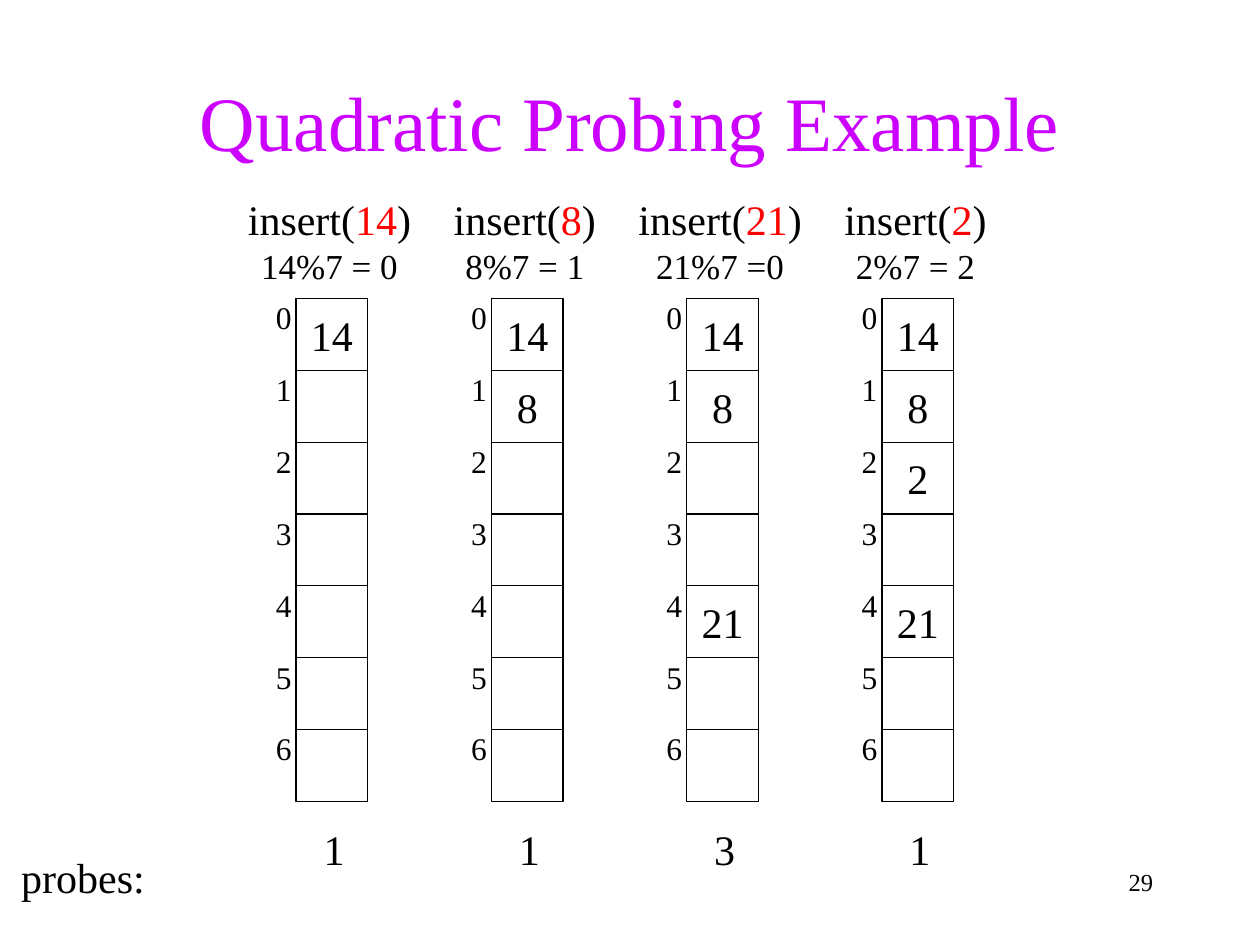
from pptx import Presentation
from pptx.dml.color import RGBColor
from pptx.enum.shapes import MSO_SHAPE
from pptx.enum.text import MSO_ANCHOR, MSO_AUTO_SIZE, PP_ALIGN
from pptx.util import Inches, Pt

LEFT, CENTER, RIGHT = PP_ALIGN.LEFT, PP_ALIGN.CENTER, PP_ALIGN.RIGHT
TOP, MIDDLE = MSO_ANCHOR.TOP, MSO_ANCHOR.MIDDLE
RECTANGLE = MSO_SHAPE.RECTANGLE
GROW = MSO_AUTO_SIZE.SHAPE_TO_FIT_TEXT

BLACK = RGBColor(0x00, 0x00, 0x00)
RED = RGBColor(0xFF, 0x00, 0x00)
PURPLE = RGBColor(0xCC, 0x00, 0xFF)
FONT = "Times New Roman"

TITLE = "Quadratic Probing Example"
PROBES_LABEL = "probes:"
PAGE_NUMBER = "29"
TABLE_SIZE = 7
# inserted key, hash calculation, filled slots, number of probes
STEPS = [
    ("14", "14%7 = 0", {0: "14"}, "1"),
    ("8", "8%7 = 1", {0: "14", 1: "8"}, "1"),
    ("21", "21%7 =0", {0: "14", 1: "8", 4: "21"}, "3"),
    ("2", "2%7 = 2", {0: "14", 1: "8", 2: "2", 4: "21"}, "1"),
]

# Grid, in inches
FIRST_COLUMN, COLUMN_STEP = 2.35, 1.55
FIRST_ROW, CELL = 2.37, 0.57
HEADING_WIDTHS = {1: 1.35, 2: 1.52}  # by number of digits in the key


def write(frame, lines, size=24, color=BLACK, align=LEFT, anchor=TOP, wrap=False):
    """Fill a text frame; each line is a list of (text, overrides) runs."""
    frame.word_wrap = wrap
    frame.vertical_anchor = anchor
    for index, runs in enumerate(lines):
        paragraph = frame.paragraphs[0] if index == 0 else frame.add_paragraph()
        paragraph.alignment = align
        for text, overrides in runs:
            run = paragraph.add_run()
            run.text = text
            run.font.name = FONT
            run.font.size = Pt(overrides.get("size", size))
            run.font.color.rgb = overrides.get("color", color)


def add_text(slide, box, lines, grow=True, **text_format):
    shape = slide.shapes.add_textbox(*map(Inches, box))
    write(shape.text_frame, lines, **text_format)
    if grow:
        shape.text_frame.auto_size = GROW


def add_cell(slide, left, top, value):
    shape = slide.shapes.add_shape(RECTANGLE, *map(Inches, (left, top, CELL, CELL)))
    shape.shadow.inherit = False
    shape.fill.background()
    shape.line.color.rgb = BLACK
    shape.line.width = Pt(0.75)
    if value:
        write(shape.text_frame, [[(value, {})]], align=CENTER, anchor=MIDDLE)


def add_step(slide, left, key, calculation, slots, probes):
    """Draw one hash table with its heading, slot numbers and probe count."""
    width = HEADING_WIDTHS[len(key)]
    heading = [
        [("insert(", {}), (key, {"color": RED}), (")", {})],
        [(calculation, {"size": 20})],
    ]
    heading_left = left + (CELL - width) / 2 - 0.02
    add_text(slide, (heading_left, 1.49, width, 0.84), heading, align=CENTER)
    for row in range(TABLE_SIZE):
        top = FIRST_ROW + row * CELL
        add_cell(slide, left, top, slots.get(row))
        add_text(slide, (left - 0.26, top - 0.05, 0.32, 0.4),
                 [[(str(row), {})]], size=18)
    add_text(slide, (left + 0.12, 6.49, 0.36, 0.5), [[(probes, {})]])


def main():
    presentation = Presentation()
    presentation.slide_width = Inches(10)
    presentation.slide_height = Inches(7.5)
    slide = presentation.slides.add_slide(presentation.slide_layouts[5])

    title = slide.shapes.title
    title.left, title.top, title.width, title.height = map(
        Inches, (0.75, 0.33, 8.5, 1.25))
    write(title.text_frame, [[(TITLE, {})]], size=44, color=PURPLE,
          align=CENTER, anchor=MIDDLE, wrap=True)

    for column, step in enumerate(STEPS):
        add_step(slide, FIRST_COLUMN + column * COLUMN_STEP, *step)

    add_text(slide, (0.07, 6.71, 1.18, 0.5), [[(PROBES_LABEL, {})]])
    add_text(slide, (7.17, 6.83, 2.08, 0.5), [[(PAGE_NUMBER, {})]],
             grow=False, size=14, align=RIGHT, wrap=True)
    presentation.save("out.pptx")


if __name__ == "__main__":
    main()
